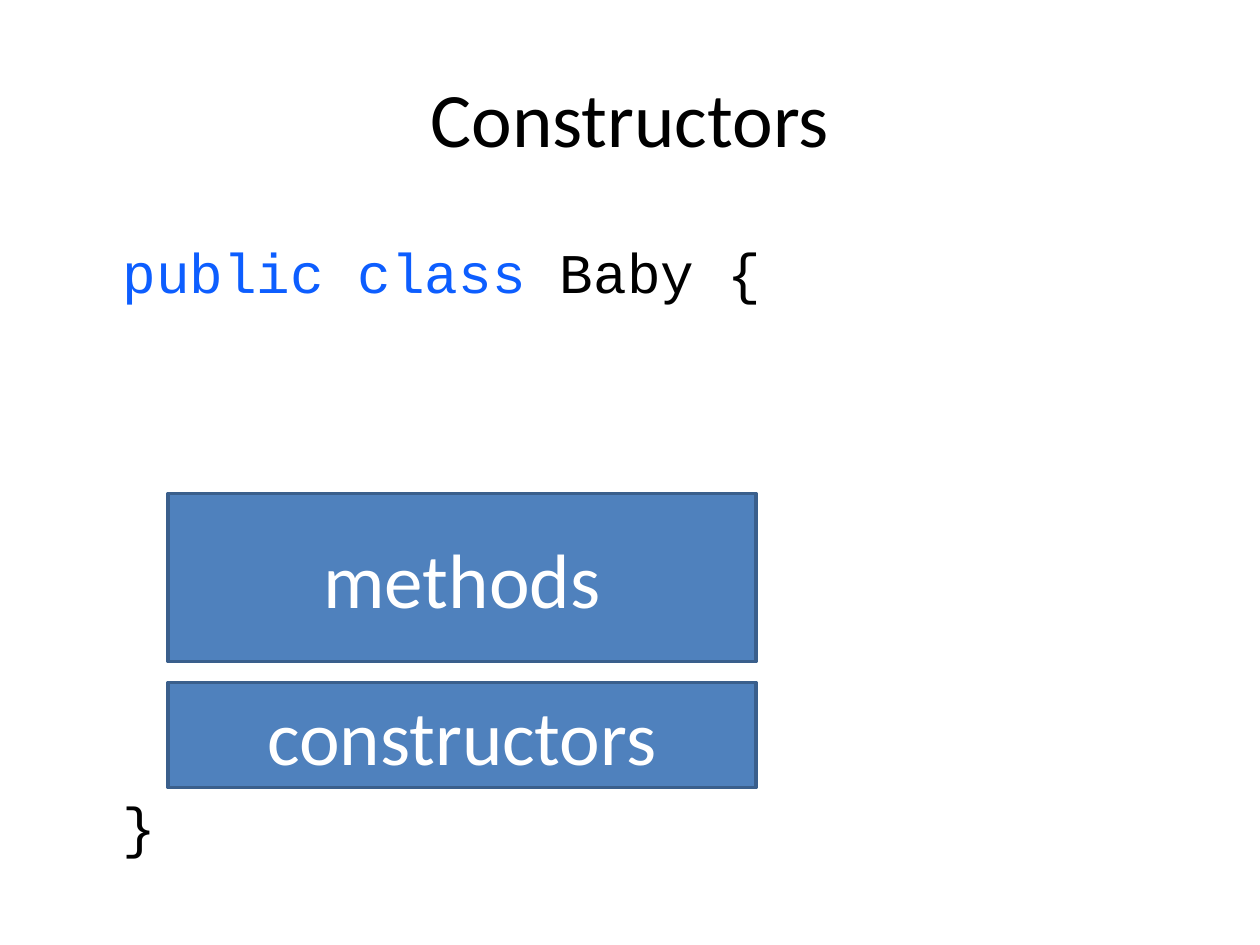
import pptx
import pptx.util
import pptx.dml.color
import pptx.enum.shapes
import pptx.enum.text
from dataclasses import dataclass

Cm, Pt = pptx.util.Cm, pptx.util.Pt
RGB = pptx.dml.color.RGBColor.from_string
ALIGN = pptx.enum.text.PP_ALIGN
ANCHOR = pptx.enum.text.MSO_ANCHOR


@dataclass(frozen=True)
class Theme:
    text: str = "000000"
    keyword: str = "0D5EFF"
    fill: str = "4F81BD"
    outline: str = "3A5F8C"
    on_fill: str = "FFFFFF"
    sans: str = "Calibri"
    mono: str = "Courier New"
    large: int = 44
    code: int = 32


THEME = Theme()


def style(r, font, size, color):
    r.font.name = font
    r.font.size = Pt(size)
    r.font.color.rgb = RGB(color)


def add_centred_text(tf, text, color):
    tf.word_wrap = True
    tf.vertical_anchor = ANCHOR.MIDDLE
    p = tf.paragraphs[0]
    p.text = text
    p.alignment = ALIGN.CENTER
    style(p.runs[0], THEME.sans, THEME.large, color)


def add_title(s, left, top, width, height, text):
    sp = s.shapes.add_textbox(Cm(left), Cm(top), Cm(width), Cm(height))
    add_centred_text(sp.text_frame, text, THEME.text)


def add_class_code(s, left, top, width, height, body_gap):
    """Opening and closing lines of the class, body_gap points apart."""
    sp = s.shapes.add_textbox(Cm(left), Cm(top), Cm(width), Cm(height))
    tf = sp.text_frame
    tf.word_wrap = True
    tf.margin_left = Cm(1.2)
    lines = [
        [("public class ", THEME.keyword), ("Baby {", THEME.text)],
        [("}", THEME.text)],
    ]
    for i, line in enumerate(lines):
        p = tf.paragraphs[0] if i == 0 else tf.add_paragraph()
        p.space_before = Pt(body_gap if i else 0)
        for text, color in line:
            r = p.add_run()
            r.text = text
            style(r, THEME.mono, THEME.code, color)


def add_members(s, left, top, width, gap, members):
    """Stack of labelled blocks, given as (label, height)."""
    for label, height in members:
        sp = s.shapes.add_shape(pptx.enum.shapes.MSO_SHAPE.RECTANGLE,
                                Cm(left), Cm(top), Cm(width), Cm(height))
        sp.shadow.inherit = False
        sp.fill.solid()
        sp.fill.fore_color.rgb = RGB(THEME.fill)
        sp.line.color.rgb = RGB(THEME.outline)
        sp.line.width = Pt(2)
        add_centred_text(sp.text_frame, label, THEME.on_fill)
        top += height + gap


def main():
    prs = pptx.Presentation()
    prs.slide_width, prs.slide_height = Cm(25.4), Cm(19.05)
    s = prs.slides.add_slide(prs.slide_layouts[6])

    # Title
    add_title(s, 1.27, 0.76, 22.86, 3.18, "Constructors")
    # Class outline
    add_class_code(s, 1.27, 4.67, 22.86, 13.54, body_gap=278)
    # Parts of the class body
    add_members(s, 3.39, 9.95, 11.85, 0.42,
                [("methods", 3.39), ("constructors", 2.12)])

    prs.save("out.pptx")


if __name__ == "__main__":
    main()
